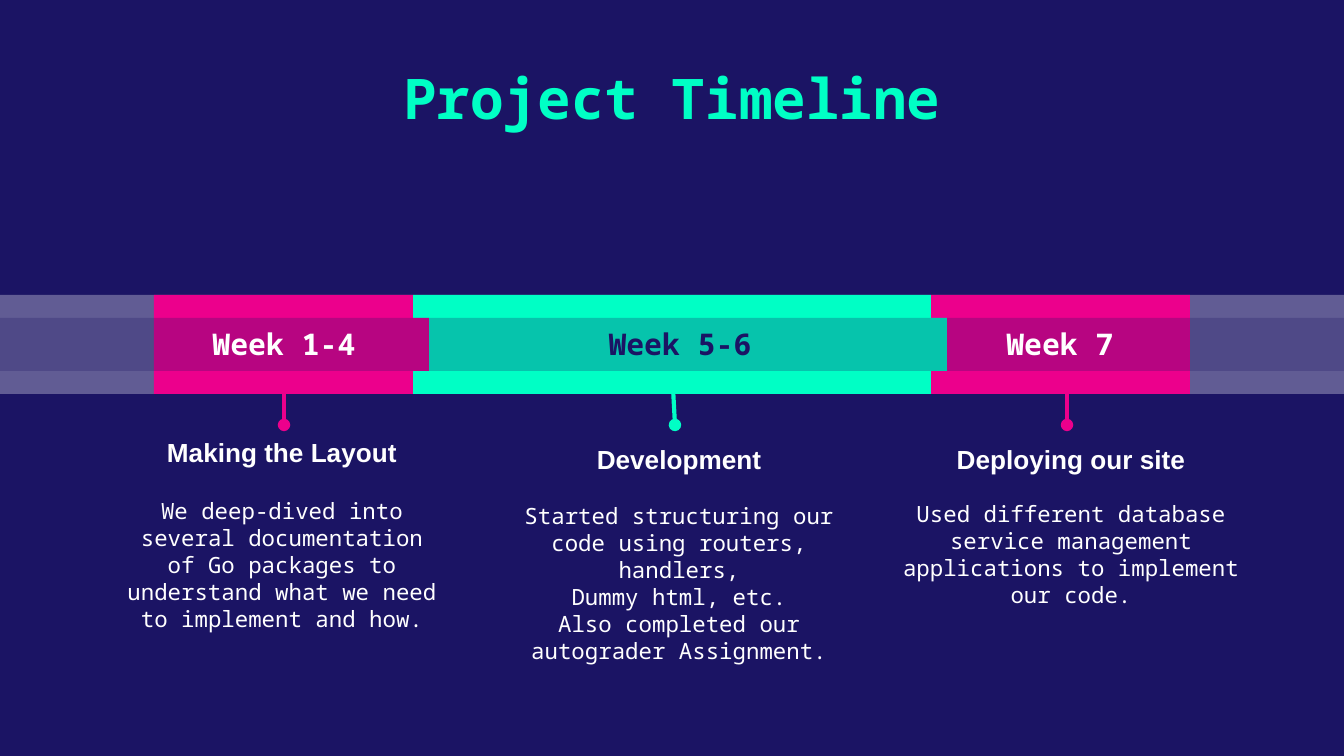
"""Build the project timeline slide."""
from lxml import etree
from pptx import Presentation
from pptx.dml.color import RGBColor
from pptx.enum.shapes import MSO_CONNECTOR, MSO_SHAPE
from pptx.enum.text import MSO_ANCHOR, PP_ALIGN
from pptx.oxml.ns import qn
from pptx.util import Pt

RECTANGLE = MSO_SHAPE.RECTANGLE
STRAIGHT = MSO_CONNECTOR.STRAIGHT
CENTER = PP_ALIGN.CENTER
TOP = MSO_ANCHOR.TOP
PX = 9144000 / 1344

THEME = {
    "navy": RGBColor.from_string("1B1464"),
    "pink": RGBColor.from_string("EC008C"),
    "mint": RGBColor.from_string("00FFC5"),
    "white": RGBColor.from_string("FFFFFF"),
    "mono": "Noto Sans Mono",
    "sans": "Arial",
    "title": Pt(30),
    "week": Pt(16),
    "heading": Pt(14),
    "body": Pt(12),
    "stem": Pt(2.25),
}


def paint(shape, color, opacity=100):
    shape.shadow.inherit = False
    shape.line.fill.background()
    shape.fill.solid()
    shape.fill.fore_color.rgb = THEME[color]
    if opacity < 100:
        color_element = shape.fill._xPr.find(qn("a:solidFill"))[0]
        etree.SubElement(color_element, qn("a:alpha"), val=str(opacity * 1000))


def add_text(slide, box, lines):
    text_box = slide.shapes.add_textbox(*[round(length * PX) for length in box])
    text_frame = text_box.text_frame
    text_frame.word_wrap = True
    text_frame.vertical_anchor = TOP
    text_frame.margin_left = text_frame.margin_right = round(13 * PX)
    text_frame.margin_top = text_frame.margin_bottom = round(13 * PX)
    text_frame.text = "\n".join(line[0] for line in lines)
    for paragraph, (_, size, font, color, bold, gap) in zip(text_frame.paragraphs, lines):
        paragraph.alignment = CENTER
        paragraph.space_before = Pt(gap)
        for run in paragraph.runs:
            run.font.size = THEME[size]
            run.font.name = THEME[font]
            run.font.color.rgb = THEME[color]
            run.font.bold = bold


presentation = Presentation()
presentation.slide_width = round(1344 * PX)
presentation.slide_height = round(756 * PX)
slide = presentation.slides.add_slide(presentation.slide_layouts[6])
slide.background.fill.solid()
slide.background.fill.fore_color.rgb = THEME["navy"]

bar_top, bar_bottom = 295, 394
band_top, band_bottom = 318, 371
first_left, segment_width, tab_width = 154, 259, 16

track = slide.shapes.add_shape(
    RECTANGLE, 0, round(bar_top * PX), presentation.slide_width, round((bar_bottom - bar_top) * PX))
paint(track, "white", 31)

last_segment = slide.shapes.add_shape(
    RECTANGLE, round((first_left + 3 * segment_width) * PX), round(bar_top * PX),
    round(segment_width * PX), round((bar_bottom - bar_top) * PX))
paint(last_segment, "pink")

for index, color in ((2, "mint"), (1, "mint"), (0, "pink")):
    left = first_left + index * segment_width
    right = left + segment_width
    tab_right = right + tab_width
    builder = slide.shapes.build_freeform(left, bar_top, scale=PX)
    builder.add_line_segments([
        (left, bar_bottom), (right, bar_bottom), (right, band_bottom), (tab_right, band_bottom),
        (tab_right, band_top), (right, band_top), (right, bar_top)], close=True)
    paint(builder.convert_to_shape(), color)

band = slide.shapes.add_shape(
    RECTANGLE, 0, round(band_top * PX), presentation.slide_width, round((band_bottom - band_top) * PX))
paint(band, "navy", 25)

add_text(slide, (188, 51, 968, 98), [("Project Timeline", "title", "mono", "mint", True, 0)])

phases = [
    ("Week 1-4", 169, "white", "pink", (284, 425, 284, 392), (112, 423, 340, 254), 16,
     "Making the Layout",
     ["We deep-dived into several documentation of Go packages to understand "
      "what we need to implement and how."]),
    ("Week 5-6", 565, "navy", "mint", (675, 425, 673, 387), (487, 430, 384, 305), 15,
     "Development",
     ["Started structuring our code using routers, handlers,", "Dummy html, etc.",
      "Also completed our autograder Assignment."]),
    ("Week 7", 945, "white", "pink", (1067, 425, 1067, 392), (879, 430, 384, 195), 14,
     "Deploying our site",
     ["Used different database service management applications to implement our code."]),
]

for week, week_left, week_color, stem_color, stem_ends, box, gap, heading, body in phases:
    add_text(slide, (week_left, 313, 230, 53), [(week, "week", "mono", week_color, True, 0)])

    stem = slide.shapes.add_connector(STRAIGHT, *[round(length * PX) for length in stem_ends])
    stem.line.color.rgb = THEME[stem_color]
    stem.line.width = THEME["stem"]
    etree.SubElement(stem.line._get_or_add_ln(), qn("a:headEnd"), type="oval")
    etree.SubElement(stem._element.spPr, qn("a:effectLst"))

    lines = [(heading, "heading", "sans", "white", True, 0)]
    for index, text in enumerate(body):
        lines.append((text, "body", "mono", "white", False, 0 if index else gap))
    add_text(slide, box, lines)

presentation.save("out.pptx")
